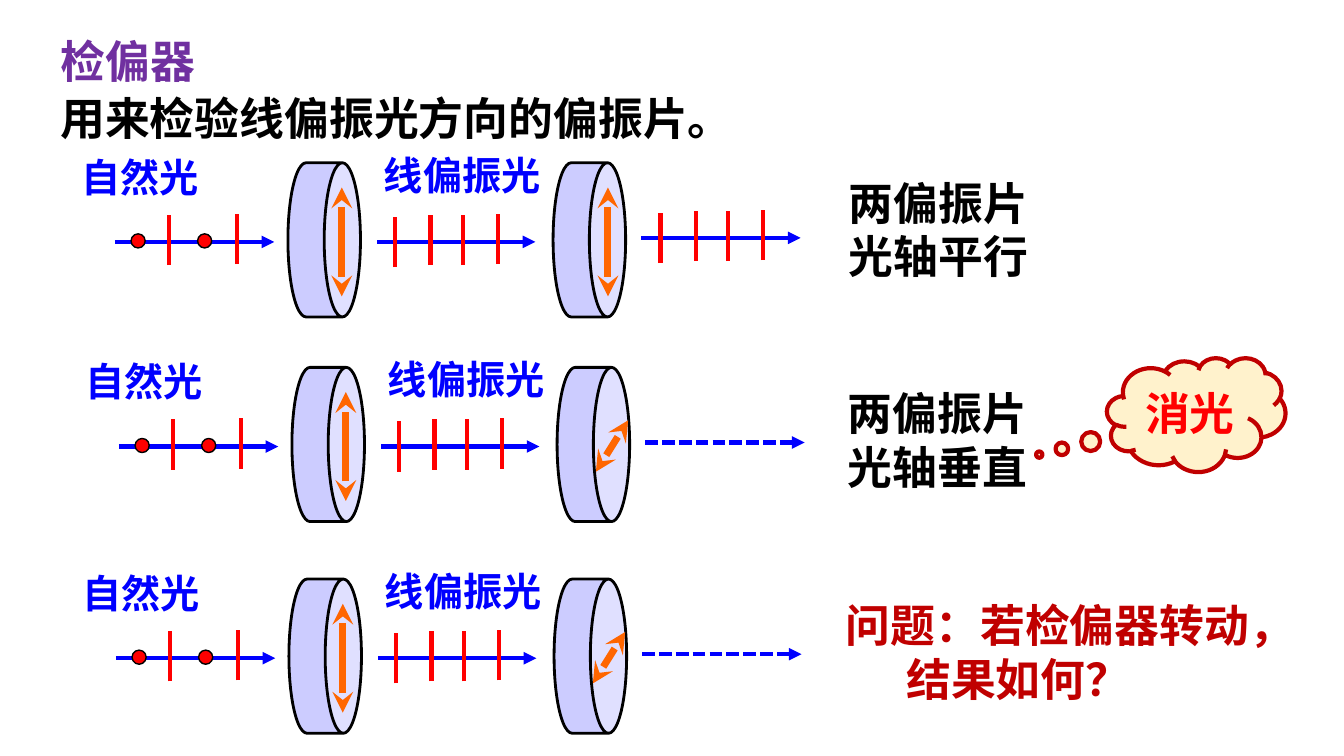
from lxml import etree
from pptx import Presentation
from pptx import util as u
from pptx.dml.color import RGBColor
from pptx.enum import dml, shapes, text
from pptx.oxml.ns import qn

PX = 9144  # 100 px to the inch
FONT = "Noto Sans CJK SC"
BLUE, RED, ORANGE, BLACK, DARK = "0000FF", "FF0000", "FF6600", "000000", "C00000"
hue = RGBColor.from_string


def write(shape, words, size, color, align=text.PP_ALIGN.LEFT):
    """Fill a shape with bold text, Latin and East Asian in one font."""
    frame = shape.text_frame
    frame.text = words
    for para in frame.paragraphs:
        para.alignment = align
        for run in para.runs:
            font = run.font
            font.name, font.size, font.bold = FONT, u.Pt(size), True
            font.color.rgb = hue(color)
            east = etree.SubElement(run._r.get_or_add_rPr(), qn("a:ea"))
            east.set("typeface", FONT)


def solid(kind, box, fill, edge, weight):
    shape = slide.shapes.add_shape(kind, *[n * PX for n in box])
    shape.shadow.inherit = False
    shape.fill.solid()
    shape.fill.fore_color.rgb = hue(fill)
    shape.line.color.rgb = hue(edge)
    shape.line.width = u.Pt(weight)
    return shape


deck = Presentation()
deck.slide_width, deck.slide_height = 1333 * PX, 750 * PX
slide = deck.slides.add_slide(deck.slide_layouts[5])

# Rows of the diagram: shift right, shift down, analyser crossed
rows = [(0, 0, False), (4, 203, True), (1, 413, True)]

# Labels: words, left, top, width, height, size, colour
labels = [
    ("检偏器", 50, 28, 155, 64, 32, "7030A0"),
    ("用来检验线偏振光方向的偏振片。", 50, 85, 693, 64, 32, BLACK),
    ("两偏振片\n光轴平行", 832, 169, 200, 118, 32, BLACK),
    ("两偏振片\n光轴垂直", 831, 378, 200, 118, 32, BLACK),
    ("问题：若检偏器转动，\n结果如何？", 829, 588, 469, 118, 32, DARK),
]
for dx, dy, crossed in rows:
    labels.append(("自然光", 71 + dx, 147 + dy, 138, 57, 28, BLUE))
    labels.append(("线偏振光", 371 + dx, 145 + dy, 177, 57, 28, BLUE))

for i, (words, x, y, w, h, size, color) in enumerate(labels):
    if i == 0:
        box = slide.shapes.title
        box.left, box.top, box.width, box.height = x * PX, y * PX, w * PX, h * PX
    else:
        box = slide.shapes.add_textbox(x * PX, y * PX, w * PX, h * PX)
    frame = box.text_frame
    frame.word_wrap = False
    frame.auto_size = text.MSO_AUTO_SIZE.SHAPE_TO_FIT_TEXT
    frame.vertical_anchor = text.MSO_ANCHOR.TOP
    write(box, words, size, color)
    if words.startswith("问题"):
        indent = frame.paragraphs[1]._p.get_or_add_pPr()
        indent.set("marL", str(60 * PX))
        indent.set("indent", "0")

# Ticks on a polarised beam: x, top
ticks = [(392, 215), (427, 213), (459, 213), (494, 212)]

for dx, dy, crossed in rows:
    for x in (245, 508):
        disc = solid(shapes.MSO_SHAPE.CAN, (x + dx, 202 + dy, 153, 72),
                     "CCCCFF", BLACK, 2)
        disc.adjustments[0] = 0.5
        disc.rotation = 90

    # Strokes: x1, y1, x2, y2, colour, weight, head, tail, dashed
    strokes = [
        (114, 240, 272, 240, BLUE, 3, None, "triangle", False),
        (374, 240, 531, 240, BLUE, 3, None, "triangle", False),
        (636, 236, 794, 236, BLUE, 3, None, "triangle", crossed),
        (339, 294, 339, 186, ORANGE, 5, "stealth", "stealth", False),
    ]
    axis = (587, 265, 619, 214) if crossed else (603, 294, 603, 186)
    strokes.append((*axis, ORANGE, 5, "stealth", "stealth", False))
    marks = [(168, 213), (235, 212)] + ticks
    if not crossed:
        marks += [(x + 263, y - 4) for x, y in ticks]
    for x, y in marks:
        strokes.append((x, y + 50, x, y, RED, 3, None, None, False))

    for x1, y1, x2, y2, color, weight, head, tail, dashed in strokes:
        line = slide.shapes.add_connector(
            shapes.MSO_CONNECTOR.STRAIGHT, (x1 + dx) * PX, (y1 + dy) * PX,
            (x2 + dx) * PX, (y2 + dy) * PX)
        line.line.color.rgb = hue(color)
        line.line.width = u.Pt(weight)
        if dashed:
            line.line.dash_style = dml.MSO_LINE.SQUARE_DOT
        for tag, end in (("a:headEnd", head), ("a:tailEnd", tail)):
            if end:
                etree.SubElement(line.line._ln, qn(tag)).set("type", end)
        etree.SubElement(line._element.spPr, qn("a:effectLst"))

    for x in (130, 196):
        solid(shapes.MSO_SHAPE.OVAL, (x + dx, 232 + dy, 14, 14), RED, BLACK, 1)

cloud = solid(shapes.MSO_SHAPE.CLOUD_CALLOUT, (1098, 355, 177, 113),
              "FFF2CC", DARK, 3)
cloud.adjustments[0], cloud.adjustments[1] = -0.88, 0.35
cloud.text_frame.vertical_anchor = text.MSO_ANCHOR.MIDDLE
write(cloud, "消光", 32, RED, text.PP_ALIGN.CENTER)

deck.save("out.pptx")
